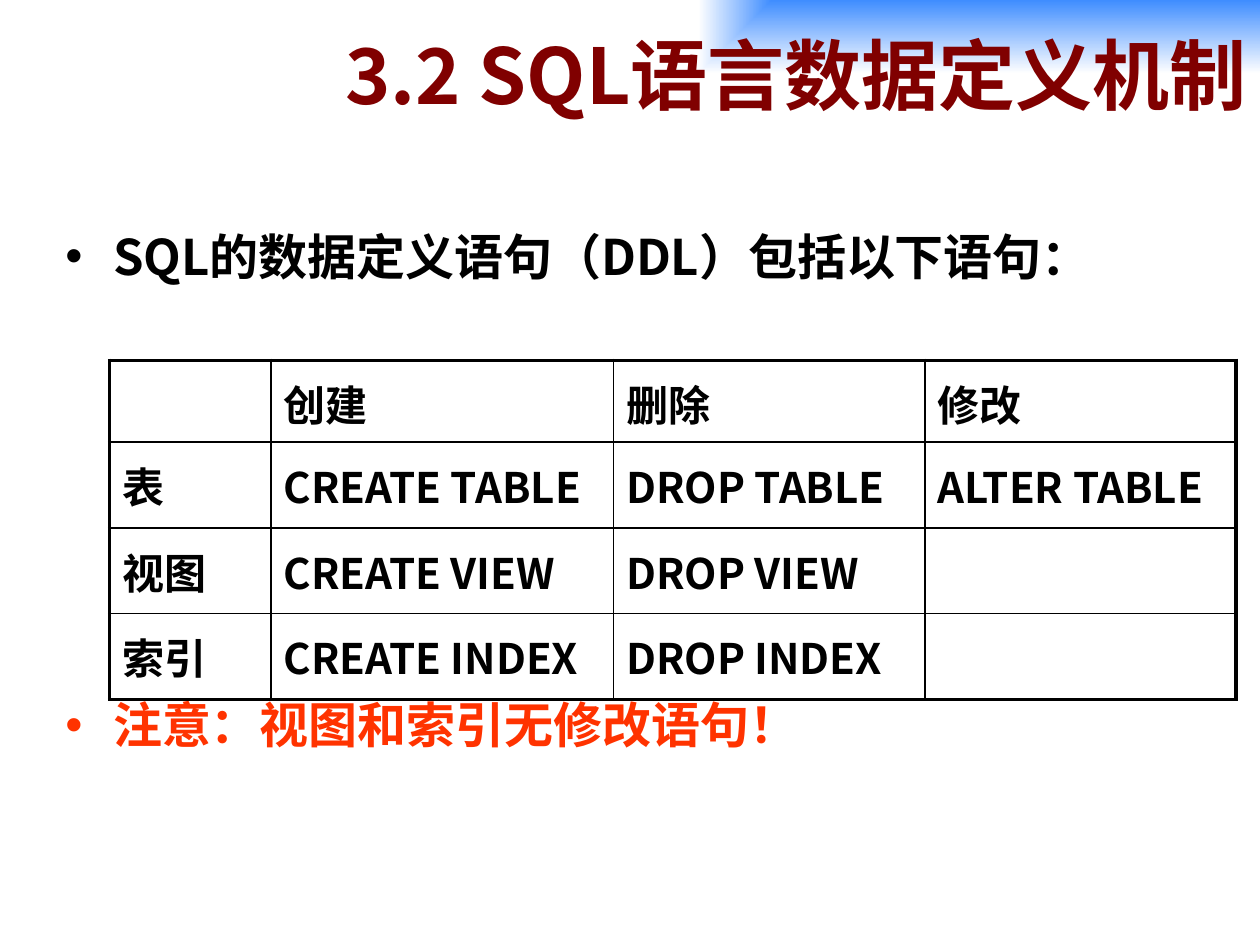
from lxml.etree import SubElement
from pptx import Presentation
from pptx.dml.color import RGBColor
from pptx.enum.text import MSO_ANCHOR, MSO_AUTO_SIZE, PP_ALIGN
from pptx.oxml import parse_xml
from pptx.oxml.ns import nsdecls, qn
from pptx.util import Inches, Pt

FONT_JP = "Noto Sans CJK JP"
FONT_SC = "Noto Sans CJK SC"
STATEMENTS = [
    ["", "创建", "删除", "修改"],
    ["表", "CREATE TABLE", "DROP TABLE", "ALTER TABLE"],
    ["视图", "CREATE VIEW", "DROP VIEW", ""],
    ["索引", "CREATE INDEX", "DROP INDEX", ""],
]


def rgb(value):
    """Turn a hex string into a colour."""
    return RGBColor.from_string(value)


def format_runs(p, size, color, font):
    """Make the paragraph's runs bold in the given size, colour and font."""
    for r in p.runs:
        r.font.size, r.font.bold, r.font.name = Pt(size), True, font
        r.font.color.rgb = rgb(color)
        SubElement(r.font._element, qn("a:ea"), typeface=font)


def add_title(slide, left, top, width, height):
    """Place the right-aligned title on its corner gradient."""
    sp = slide.shapes.title
    sp.left, sp.top, sp.width, sp.height = map(Inches, (left, top, width, height))
    sp._element.spPr.append(parse_xml(
        f'<a:gradFill {nsdecls("a")} rotWithShape="1"><a:gsLst>'
        '<a:gs pos="0"><a:srgbClr val="3F8DFF"/></a:gs>'
        '<a:gs pos="100000"><a:srgbClr val="FFFFFF"/></a:gs></a:gsLst>'
        '<a:path path="rect"><a:fillToRect l="100000" b="100000"/></a:path>'
        '</a:gradFill>'))
    tf = sp.text_frame
    tf.text = "3.2 SQL语言数据定义机制"
    tf.auto_size = MSO_AUTO_SIZE.NONE
    tf.vertical_anchor = MSO_ANCHOR.MIDDLE
    p = tf.paragraphs[0]
    p.alignment = PP_ALIGN.RIGHT
    format_runs(p, 44, "800000", FONT_SC)


def add_bullets(slide, left, top, width, height, gap):
    """Place the opening bullet and the note, with a gap in points between."""
    box = slide.shapes.add_textbox(*map(Inches, (left, top, width, height)))
    tf = box.text_frame
    tf.word_wrap = True
    tf.text = "SQL的数据定义语句（DDL）包括以下语句：\n注意：视图和索引无修改语句！"
    styles = [("000000", FONT_JP), ("FF3300", FONT_SC)]
    for p, (color, font) in zip(tf.paragraphs, styles):
        pPr = p._p.get_or_add_pPr()
        pPr.set("marL", str(Inches(0.38)))
        pPr.set("indent", str(-Inches(0.38)))
        SubElement(pPr, qn("a:buFont"), typeface="Arial")
        SubElement(pPr, qn("a:buChar"), char="•")
        format_runs(p, 28, color, font)
    tf.paragraphs[1].space_before = Pt(gap)


def set_border(cell, side, width):
    """Draw one side of a cell in black."""
    ln = SubElement(cell._tc.get_or_add_tcPr(), qn(f"a:ln{side}"), w=str(Pt(width)))
    fill = SubElement(ln, qn("a:solidFill"))
    SubElement(fill, qn("a:srgbClr"), val="000000")


def add_statement_table(slide, left, top, col_widths, row_heights):
    """Place the table of statements with a heavy outer frame."""
    rows, cols = len(row_heights), len(col_widths)
    size = sum(col_widths), sum(row_heights)
    frame = slide.shapes.add_table(rows, cols, *map(Inches, (left, top, *size)))
    table = frame.table
    table.first_row = table.horz_banding = False
    for column, width in zip(table.columns, col_widths):
        column.width = Inches(width)
    for row, height in zip(table.rows, row_heights):
        row.height = Inches(height)
    for i, texts in enumerate(STATEMENTS):
        for j, text in enumerate(texts):
            cell = table.cell(i, j)
            cell.text = text
            cell.margin_top = Inches(0.1)
            format_runs(cell.text_frame.paragraphs[0], 24, "000000", FONT_JP)
            outer = {"L": j == 0, "R": j == cols - 1, "T": i == 0, "B": i == rows - 1}
            for side, heavy in outer.items():
                set_border(cell, side, 2.25 if heavy else 1)
            cell.fill.background()


def main():
    """Build the slide and save it."""
    prs = Presentation()
    prs.slide_width, prs.slide_height = Inches(10), Inches(7.5)
    slide = prs.slides.add_slide(prs.slide_layouts[5])
    add_title(slide, 1.08, 0, 8.92, 1.17)
    add_bullets(slide, 0.42, 1.75, 9.36, 5.3, gap=234)
    add_statement_table(slide, 0.87, 2.86, [1.28, 2.72, 2.47, 2.47],
                        [0.65, 0.68, 0.68, 0.68])
    prs.save("out.pptx")


if __name__ == "__main__":
    main()
